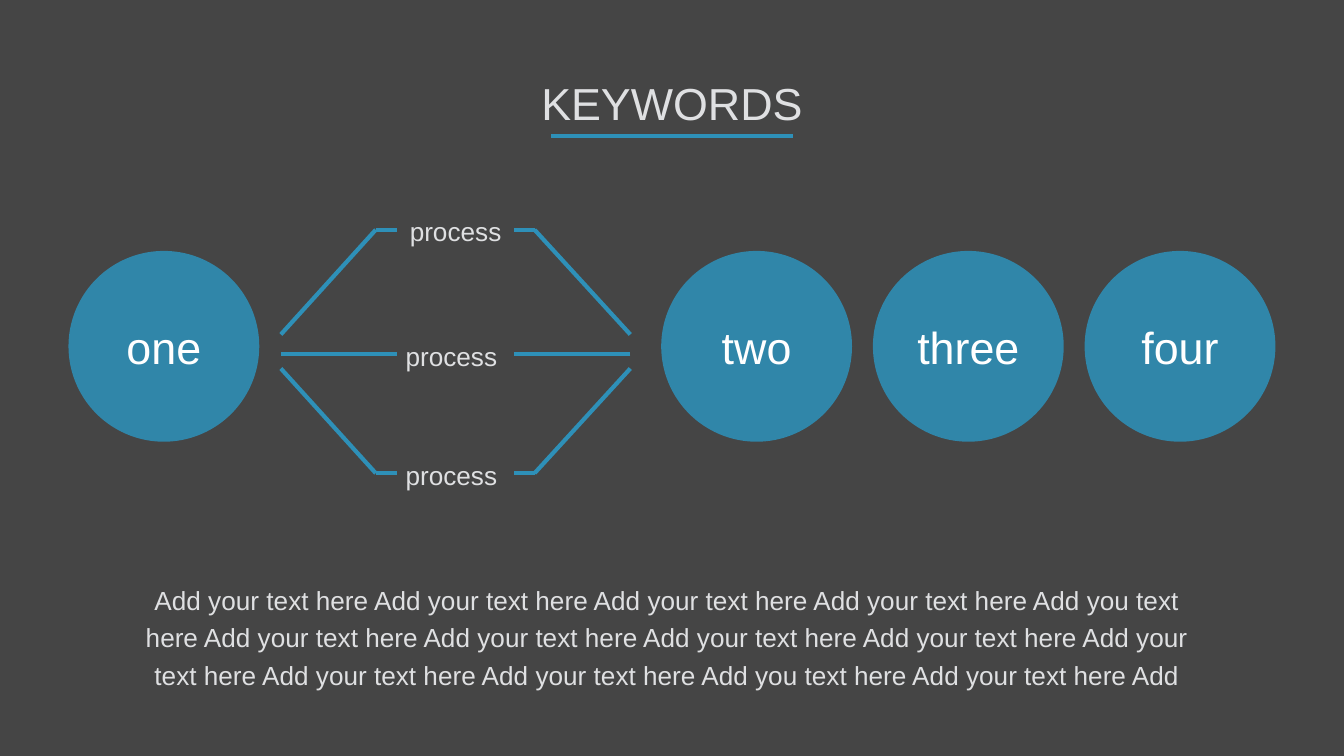
import dataclasses

import lxml.etree
import pptx
import pptx.dml.color
import pptx.enum.shapes
import pptx.enum.text
import pptx.oxml.ns
import pptx.util

ALIGN = pptx.enum.text.PP_ALIGN
ANCHOR = pptx.enum.text.MSO_ANCHOR
AUTO_SIZE = pptx.enum.text.MSO_AUTO_SIZE


@dataclasses.dataclass(frozen=True)
class Theme:
    """Colours, type sizes and line weights of the slide."""
    background: str = "454545"
    accent: str = "2E90B8"
    text: str = "DFE0E2"
    circle_text: str = "FFFFFF"
    font: str = "Arial"
    large: int = 24
    small: int = 14
    line: float = 2.25
    circle_opacity: int = 87


@dataclasses.dataclass(frozen=True)
class Box:
    """An area of the slide in EMU."""
    left: float
    top: float
    width: float
    height: float

    def point(self, across, down):
        """Return the point at the given shares of the box."""
        return round(self.left + across * self.width), round(self.top + down * self.height)

    def inner(self, left, top, width, height):
        """Return an inner box given in percent of this one."""
        return Box(*self.point(left / 100, top / 100),
                   round(self.width * width / 100), round(self.height * height / 100))

    def bounds(self):
        """Return left, top, width and height."""
        return self.left, self.top, self.width, self.height


THEME = Theme()
BODY = ("Add your text here Add your text here Add your text here Add your text here "
        "Add you text here Add your text here Add your text here Add your text here "
        "Add your text here Add your text here Add your text here Add your text here "
        "Add you text here Add your text here Add")


def colour(value):
    """Return a colour from its hex digits."""
    return pptx.dml.color.RGBColor.from_string(value)


def apply(target, formats):
    """Set every attribute named in a dict of format values."""
    for name, value in formats.items():
        setattr(target, name, value)


def write(shape, text, size, ink, align=ALIGN.CENTER, anchor=ANCHOR.TOP, spacing=1.0):
    """Fill a shape with one formatted paragraph."""
    frame = shape.text_frame
    apply(frame, {"word_wrap": True, "auto_size": AUTO_SIZE.NONE, "vertical_anchor": anchor})
    para = frame.paragraphs[0]
    apply(para, {"alignment": align, "line_spacing": spacing})
    span = para.add_run()
    span.text = text
    apply(span.font, {"name": THEME.font, "size": pptx.util.Pt(size)})
    span.font.color.rgb = colour(ink)


def add_line(shapes, start, end):
    """Draw one accent line without a shadow."""
    line = shapes.add_connector(pptx.enum.shapes.MSO_CONNECTOR.STRAIGHT, *start, *end)
    line.line.color.rgb = colour(THEME.accent)
    line.line.width = pptx.util.Pt(THEME.line)
    lxml.etree.SubElement(line._element.spPr, pptx.oxml.ns.qn("a:effectLst"))


def add_title(page, box, text):
    """Place the title and its underline."""
    title = page.shapes.title
    apply(title, dict(zip(("left", "top", "width", "height"), box.bounds())))
    write(title, text, THEME.large, THEME.text)
    add_line(page.shapes, box.point(0.41, 1), box.point(0.59, 1))


def add_text(page, box, text, **formats):
    """Place a text box in the small type size."""
    write(page.shapes.add_textbox(*box.bounds()), text, THEME.small, THEME.text, **formats)


def add_circles(page, box, columns, pitch):
    """Place labelled circles at columns of the given pitch, in percent of the row."""
    for label, column in columns.items():
        place = Box(*box.point(column * pitch / 100, 0), box.height, box.height)
        circle = page.shapes.add_shape(pptx.enum.shapes.MSO_SHAPE.OVAL, *place.bounds())
        circle.shadow.inherit = False
        circle.fill.solid()
        circle.fill.fore_color.rgb = colour(THEME.accent)
        tint = circle._element.spPr.find(".//" + pptx.oxml.ns.qn("a:srgbClr"))
        alpha = lxml.etree.SubElement(tint, pptx.oxml.ns.qn("a:alpha"))
        alpha.set("val", str(THEME.circle_opacity * 1000))
        circle.line.fill.background()
        write(circle, label, THEME.large, THEME.circle_text, anchor=ANCHOR.MIDDLE)


def add_branches(page, box, mirrored=False):
    """Group three branches that spread to the right, or to the left if mirrored."""
    knee = 0.82
    segments = [((0, 0.51), (1, 0.51))]
    for root, tip in ((0.43, 0), (0.57, 1)):
        segments += [((0, root), (knee, tip)), ((knee, tip), (1, tip))]
    group = page.shapes.add_group_shape()
    for segment in segments:
        ends = [box.point(1 - across if mirrored else across, down) for across, down in segment]
        add_line(group.shapes, *ends)


def add_processes(page, box):
    """Place the two sets of branches and the labels between them."""
    add_branches(page, box.inner(0, 0, 33.1, 100))
    add_branches(page, box.inner(66.6, 0, 33.4, 100), mirrored=True)
    for left, top in ((33.1, -8.8), (31.9, 42.5), (31.9, 91.7)):
        add_text(page, box.inner(left, top, 36.5, 18.8), "process", align=ALIGN.LEFT)


def build():
    """Build the keywords slide and save it."""
    deck = pptx.Presentation()
    deck.slide_width = pptx.util.Inches(10)
    deck.slide_height = deck.slide_width * 9 // 16
    page = deck.slides.add_slide(deck.slide_layouts[5])
    page.background.fill.solid()
    page.background.fill.fore_color.rgb = colour(THEME.background)
    slide = Box(0, 0, deck.slide_width, deck.slide_height)
    add_title(page, slide.inner(0, 9.07, 100, 8.89), "KEYWORDS")
    add_text(page, slide.inner(9.1, 75.56, 81.1, 16.36), BODY, spacing=1.2)
    add_circles(page, slide.inner(5.1, 33.2, 89.8, 25.24),
                {"one": 0, "two": 2.8, "three": 3.8, "four": 4.8}, 17.54)
    add_processes(page, slide.inner(20.9, 30.4, 26, 32.2))
    deck.save("out.pptx")


build()
